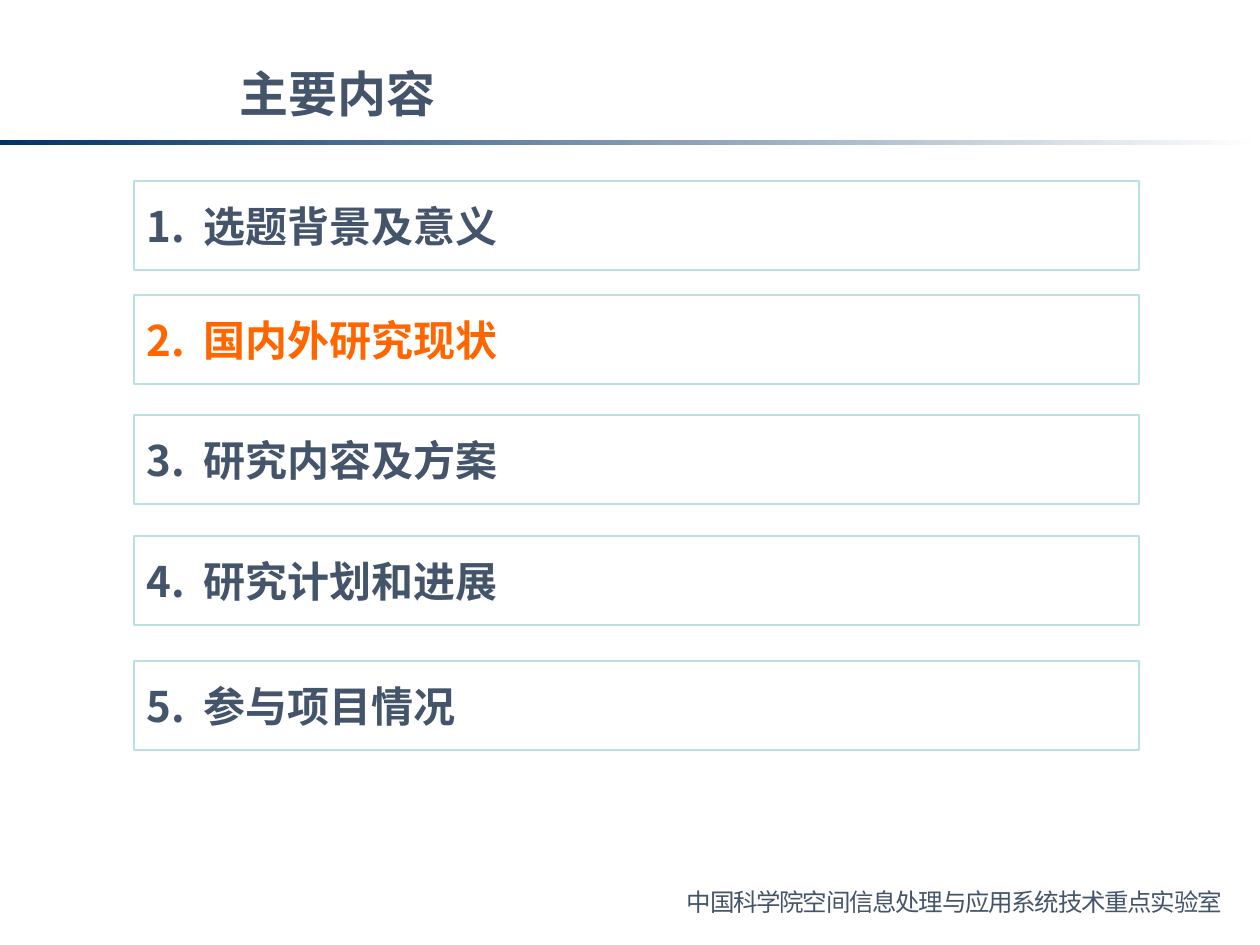
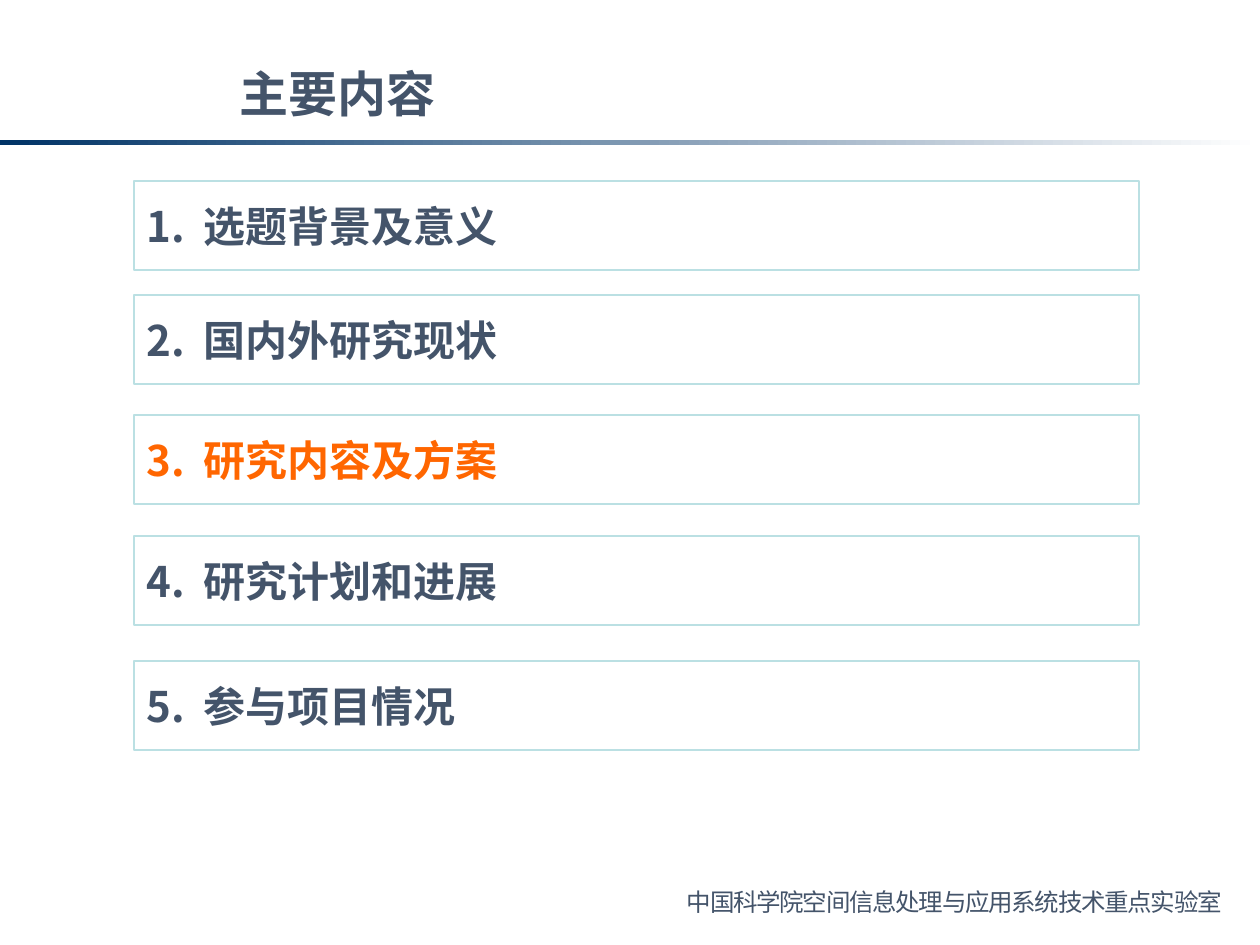
from dataclasses import dataclass

from lxml import etree
from pptx import Presentation
from pptx import util as u
from pptx.dml.color import RGBColor
from pptx.enum import shapes, text
from pptx.oxml import ns

PX_PER_INCH = 126
SLIDE_WIDTH, SLIDE_HEIGHT = 1260, 945

TITLE = "主要内容"
LABORATORY = "中国科学院空间信息处理与应用系统技术重点实验室"
TOPICS = ["选题背景及意义", "国内外研究现状", "研究内容及方案", "研究计划和进展", "参与项目情况"]
TOPIC_TOPS = [181, 295, 415, 536, 661]
CURRENT_TOPICS = [2, 3]


@dataclass(frozen=True)
class Theme:
    font: str = "Noto Sans CJK SC"
    ink: str = "44546A"
    highlight: str = "FF6600"
    border: str = "BBE0E3"
    paper: str = "FFFFFF"
    rule: str = "003366"
    title_size: int = 28
    topic_size: int = 24
    footer_size: int = 14


def px(length):
    return u.Emu(round(length * 914400 / PX_PER_INCH))


def color(value):
    return RGBColor.from_string(value)


class Deck:
    def __init__(self, theme):
        self.theme = theme
        self.presentation = Presentation()
        self.presentation.slide_width = px(SLIDE_WIDTH)
        self.presentation.slide_height = px(SLIDE_HEIGHT)
        self.slide = None

    def add_slide(self):
        self.slide = self.presentation.slides.add_slide(self.presentation.slide_layouts[6])

    def rectangle(self, left, top, width, height):
        shape = self.slide.shapes.add_shape(
            shapes.MSO_SHAPE.RECTANGLE, px(left), px(top), px(width), px(height))
        shape.shadow.inherit = False
        return shape

    def set_text(self, shape, words, size, ink, bold=False, spacing=0, tab=0, inset=6,
                 anchor=text.MSO_ANCHOR.TOP):
        """Fill a shape with one left-aligned line; spacing is in 1/100 pt."""
        frame = shape.text_frame
        frame.word_wrap = False
        frame.vertical_anchor = anchor
        frame.margin_left = frame.margin_right = px(13)
        frame.margin_top = px(inset)
        frame.margin_bottom = px(6)
        paragraph = frame.paragraphs[0]
        paragraph.text = words
        paragraph.alignment = text.PP_ALIGN.LEFT
        properties = paragraph._p.get_or_add_pPr()
        if tab:
            stops = etree.SubElement(properties, ns.qn("a:tabLst"))
            etree.SubElement(stops, ns.qn("a:tab"), pos=str(int(px(tab))), algn="l")
        font = paragraph.font
        font.name = self.theme.font
        font.size = u.Pt(size)
        font.bold = bold
        font.color.rgb = color(ink)
        defaults = properties.find(ns.qn("a:defRPr"))
        defaults.set("spc", str(spacing))
        latin = defaults.find(ns.qn("a:latin"))
        latin.addnext(etree.Element(ns.qn("a:ea"), typeface=self.theme.font))

    def text_box(self, left, top, width, height, words, size, **style):
        box = self.slide.shapes.add_textbox(px(left), px(top), px(width), px(height))
        self.set_text(box, words, size, self.theme.ink, **style)

    def title(self, words):
        self.text_box(227, 53, 1012, 79, words, self.theme.title_size, bold=True,
                      anchor=text.MSO_ANCHOR.MIDDLE)

    def fading_rule(self):
        rule = self.rectangle(0, 140, SLIDE_WIDTH, 5)
        rule.line.fill.background()
        rule.fill.gradient()
        rule.fill.gradient_angle = 0
        ends = [self.theme.rule, self.theme.paper]
        for position, (stop, value) in enumerate(zip(rule.fill.gradient_stops, ends)):
            stop.position = position
            stop.color.rgb = color(value)

    def topic(self, number, words, top, current):
        box = self.rectangle(134, top, 1005, 89)
        box.fill.solid()
        box.fill.fore_color.rgb = color(self.theme.paper)
        box.line.color.rgb = color(self.theme.border)
        box.line.width = u.Pt(1)
        ink = self.theme.highlight if current else self.theme.ink
        self.set_text(box, f"{number}.\t{words}", self.theme.topic_size, ink,
                      bold=True, tab=57, inset=20)

    def footer(self, words):
        self.text_box(674, 887, 566, 39, words, self.theme.footer_size, spacing=-80, inset=0)


def main():
    deck = Deck(Theme())
    for current in CURRENT_TOPICS:
        deck.add_slide()
        deck.fading_rule()
        deck.title(TITLE)
        for number, (words, top) in enumerate(zip(TOPICS, TOPIC_TOPS), start=1):
            deck.topic(number, words, top, number == current)
        deck.footer(LABORATORY)
    deck.presentation.save("out.pptx")


if __name__ == "__main__":
    main()
